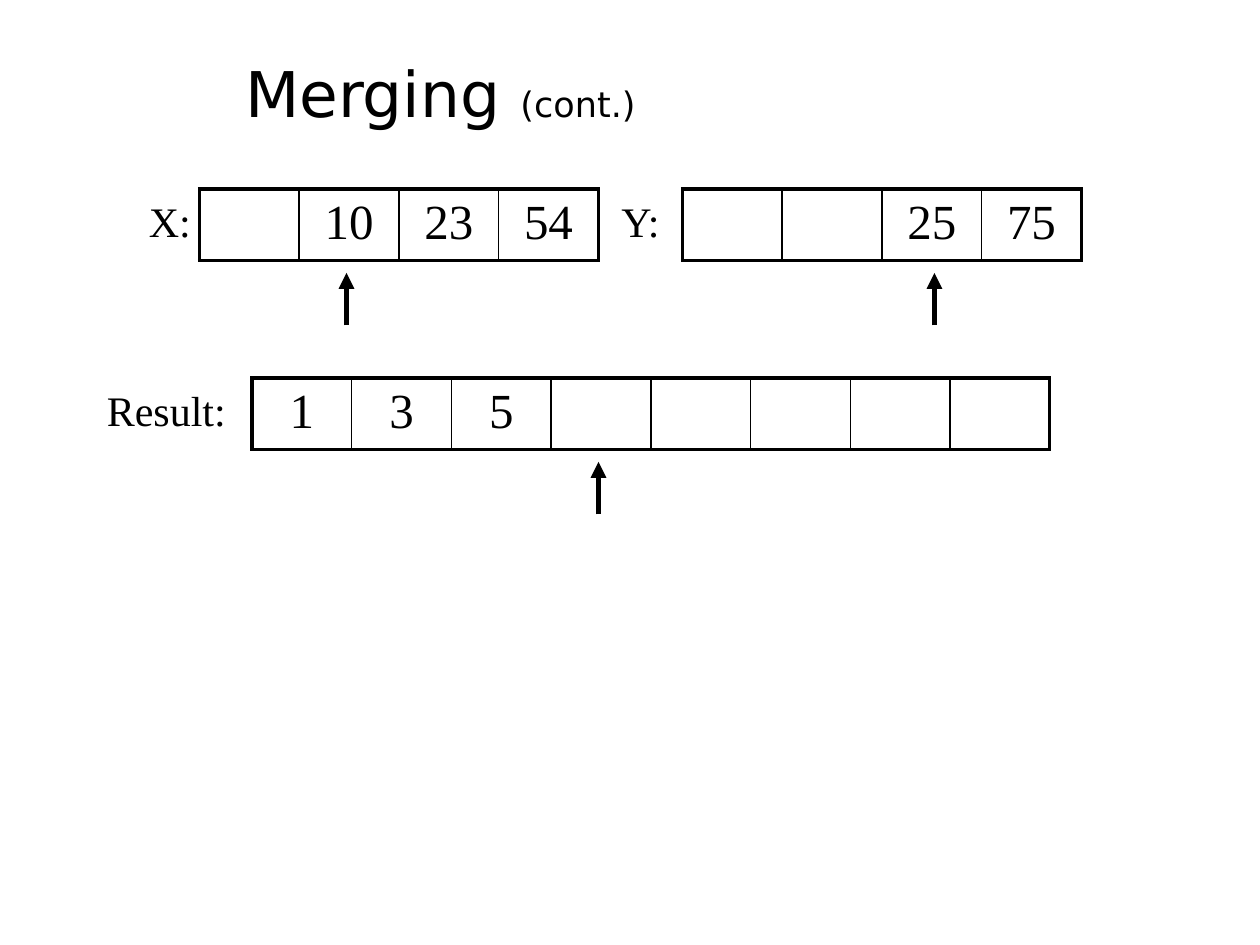
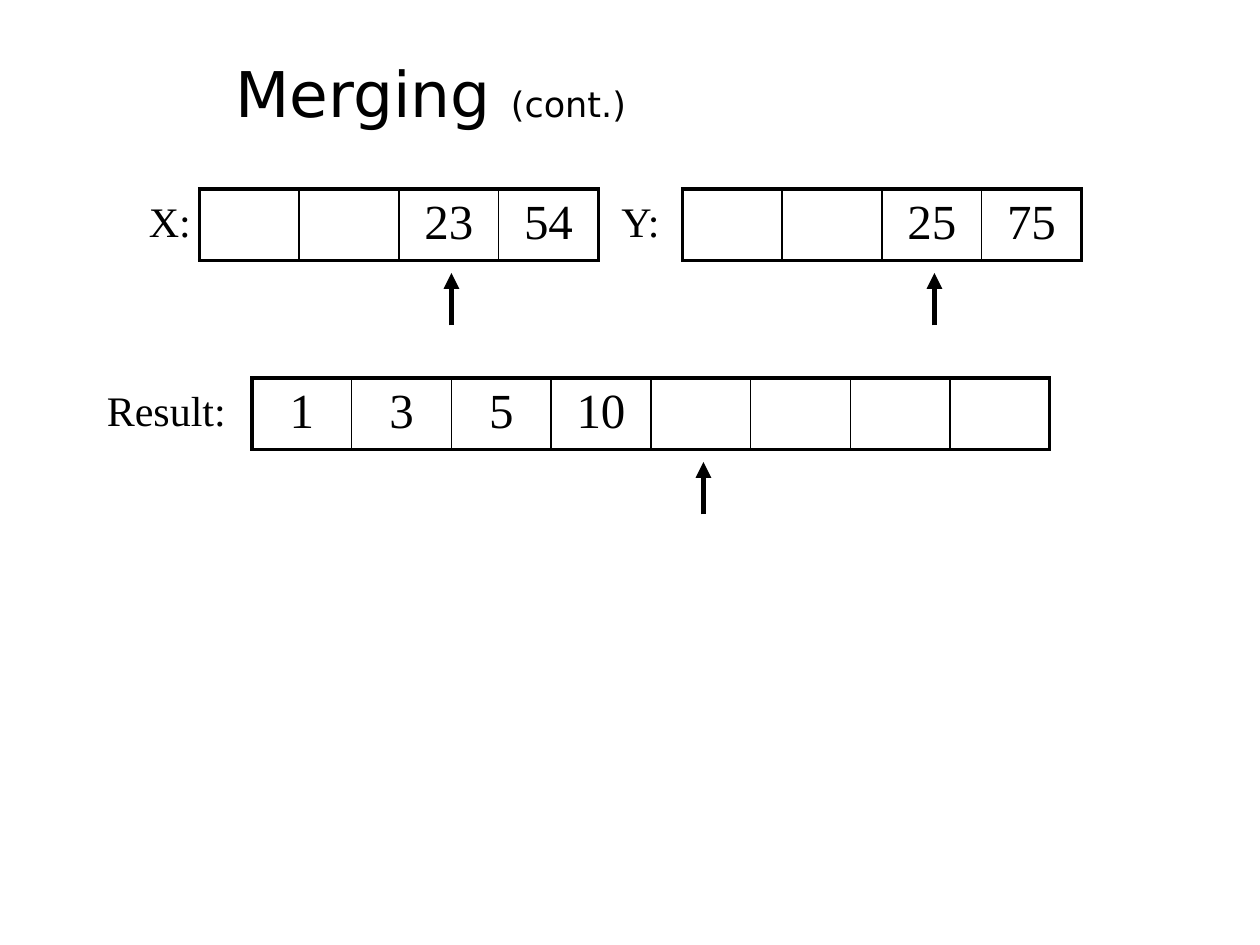
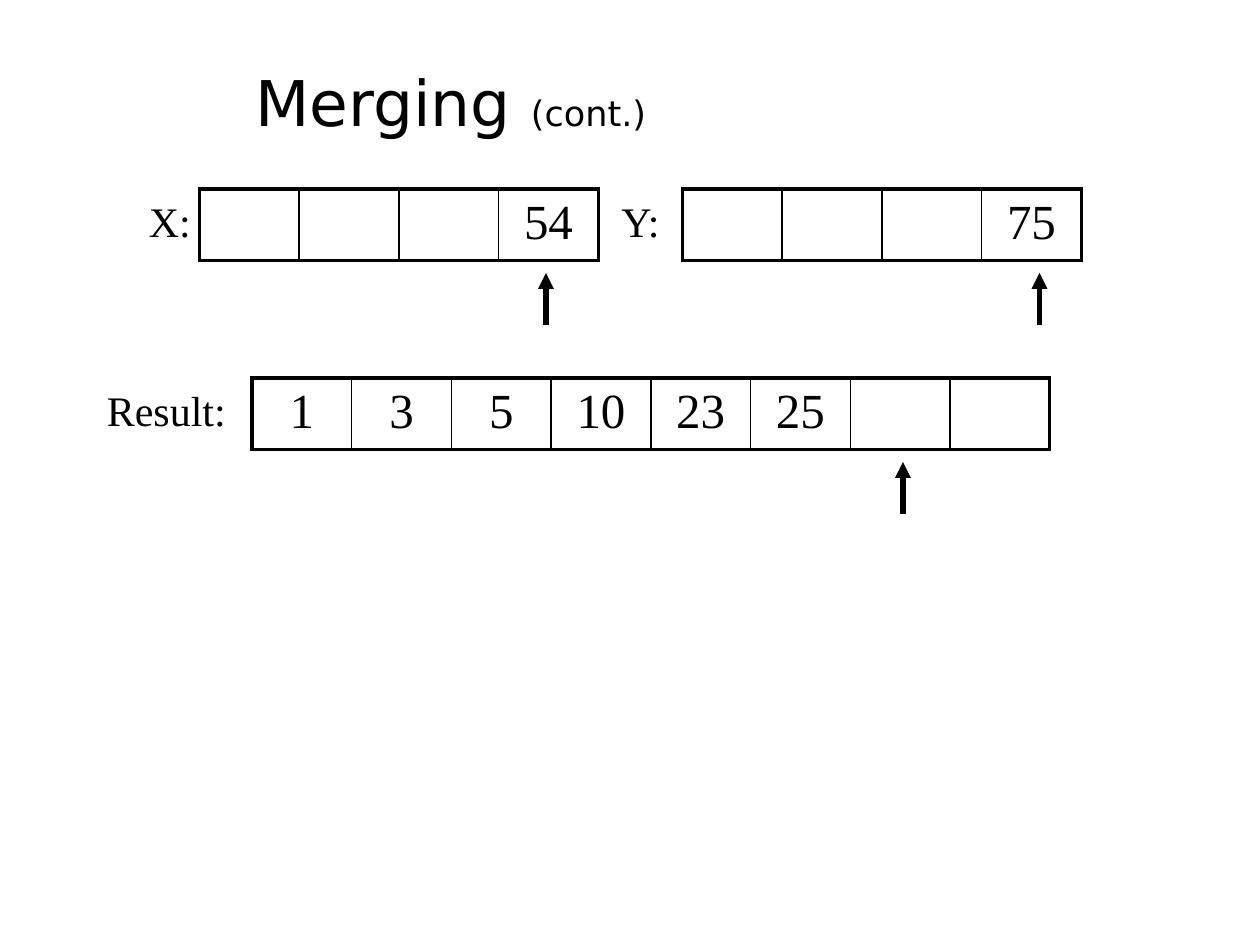
import pptx
import pptx.dml.color
import pptx.enum.shapes
import pptx.enum.text
import pptx.oxml.ns
import pptx.util
from lxml import etree

Pt = pptx.util.Pt
qn = pptx.oxml.ns.qn

# Shared style
BLACK = "000000"
SERIF = {"name": "Times New Roman"}
SANS = {"name": "DejaVu Sans"}
CELL_FONT = {**SERIF, "size": Pt(28)}
LABEL_FONT = {**SERIF, "size": Pt(24)}
TITLE_RUNS = [("Merging ", {**SANS, "size": Pt(36)}),
              ("(cont.)", {**SANS, "size": Pt(20)})]
CELL_WIDTH = 57
THICK, THIN = 2.25, 1
ARROW_GAP, ARROW_LENGTH = 48, 30

# Arrays: label, label left, label width, table left, top, row height, cells
ARRAYS = [
    ("X:", 78, 42, 114, 108, 41, 4),
    ("Y:", 348, 42, 390, 108, 41, 4),
    ("Result:", 54, 84, 144, 216, 40.5, 8),
]

# Steps: title box, then for each array its first filled cell, values, arrow x
STEPS = [
    ((133, 23, 556, 60),
     [(1, [10, 23, 54], 198), (2, [25, 75], 534), (0, [1, 3, 5], 342)]),
    ((127.5, 23, 561.5, 60),
     [(2, [23, 54], 258), (2, [25, 75], 534), (0, [1, 3, 5, 10], 402)]),
    ((139, 21.5, 545, 73),
     [(3, [54], 312), (3, [75], 594), (0, [1, 3, 5, 10, 23, 25], 516)]),
]


def color(value):
    return pptx.dml.color.RGBColor.from_string(value)


def add_run(p, text, font):
    r = p.add_run()
    r.text = text
    for key, value in font.items():
        setattr(r.font, key, value)
    r.font.color.rgb = color(BLACK)


def space_before(p, percent):
    before = etree.SubElement(p._p.get_or_add_pPr(), qn("a:spcBef"))
    etree.SubElement(before, qn("a:spcPct"), val=str(percent * 1000))


def add_text(s, box, runs, **frame):
    tf = s.shapes.add_textbox(*map(Pt, box)).text_frame
    for key, value in {"word_wrap": True, **frame}.items():
        setattr(tf, key, value)
    p = tf.paragraphs[0]
    for text, font in runs:
        add_run(p, text, font)
    return p


def set_borders(cell, widths):
    tcPr = cell._tc.get_or_add_tcPr()
    for side, width in widths.items():
        ln = etree.SubElement(tcPr, qn("a:ln" + side), w=str(Pt(width)))
        fill = etree.SubElement(ln, qn("a:solidFill"))
        etree.SubElement(fill, qn("a:srgbClr"), val=BLACK)


def add_array(s, left, top, height, count, first, values):
    size = map(Pt, (left, top, count * CELL_WIDTH, height))
    table = s.shapes.add_table(1, count, *size).table
    table.first_row = table.horz_banding = False
    for i, cell in enumerate(table.iter_cells()):
        set_borders(cell, {"L": THICK if i == 0 else THIN,
                           "R": THICK if i == count - 1 else THIN,
                           "T": THICK, "B": THICK})
        cell.fill.background()
        if first <= i < first + len(values):
            p = cell.text_frame.paragraphs[0]
            p.alignment = pptx.enum.text.PP_ALIGN.CENTER
            space_before(p, 20)
            add_run(p, str(values[i - first]), CELL_FONT)


def add_arrow(s, x, tip):
    ends = map(Pt, (x, tip + ARROW_LENGTH, x, tip))
    line = s.shapes.add_connector(
        pptx.enum.shapes.MSO_CONNECTOR.STRAIGHT, *ends)
    line.line.width = Pt(3)
    line.line.color.rgb = color(BLACK)
    etree.SubElement(line.line._get_or_add_ln(), qn("a:tailEnd"),
                     type="triangle")
    etree.SubElement(line._element.spPr, qn("a:effectLst"))


def add_label(s, text, left, top, width):
    p = add_text(s, (left, top, width, 36), [(text, LABEL_FONT)],
                 auto_size=pptx.enum.text.MSO_AUTO_SIZE.SHAPE_TO_FIT_TEXT)
    space_before(p, 50)


def main():
    prs = pptx.Presentation()
    prs.slide_width, prs.slide_height = Pt(720), Pt(540)
    for title_box, states in STEPS:
        s = prs.slides.add_slide(prs.slide_layouts[6])
        for array, (first, values, arrow_x) in zip(ARRAYS, states):
            label, label_left, label_width, left, top, height, count = array
            add_array(s, left, top, height, count, first, values)
            add_arrow(s, arrow_x, top + ARROW_GAP)
            add_label(s, label, label_left, top, label_width)
        add_text(s, title_box, TITLE_RUNS,
                 vertical_anchor=pptx.enum.text.MSO_ANCHOR.MIDDLE)
    prs.save("out.pptx")


if __name__ == "__main__":
    main()
